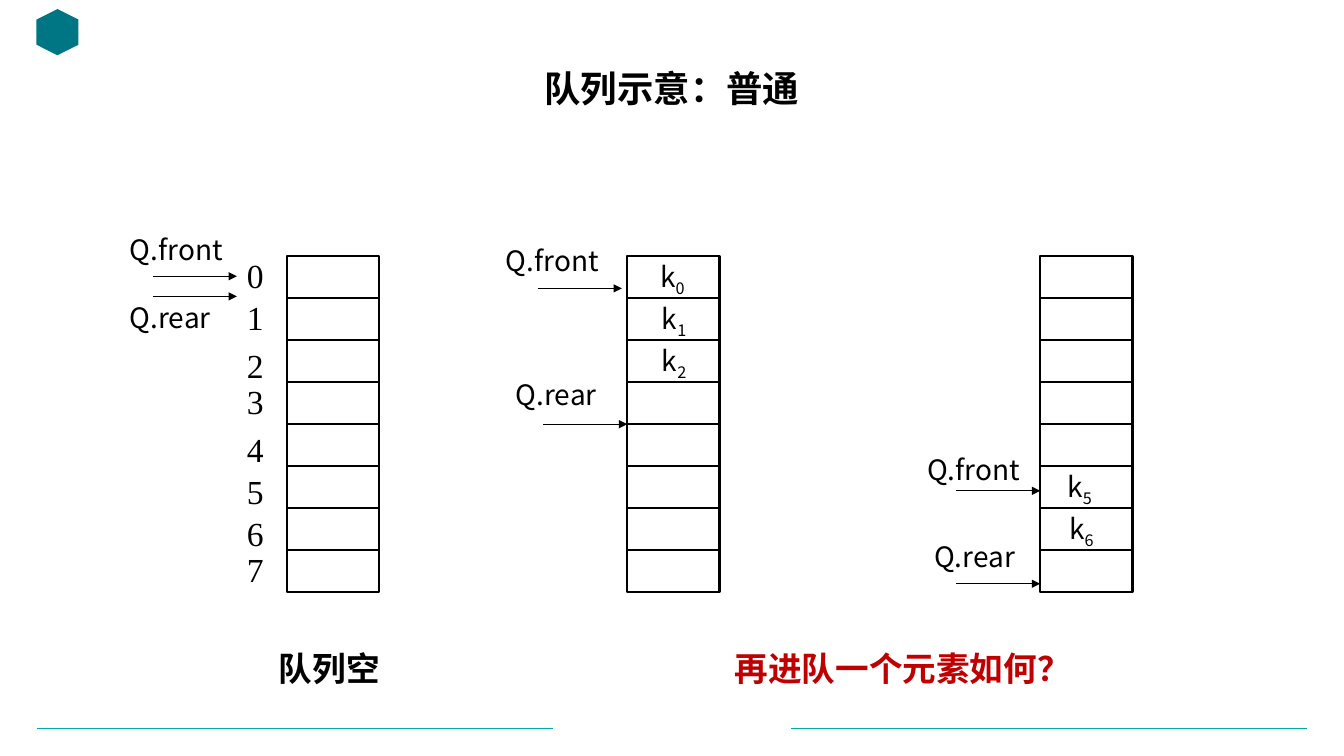
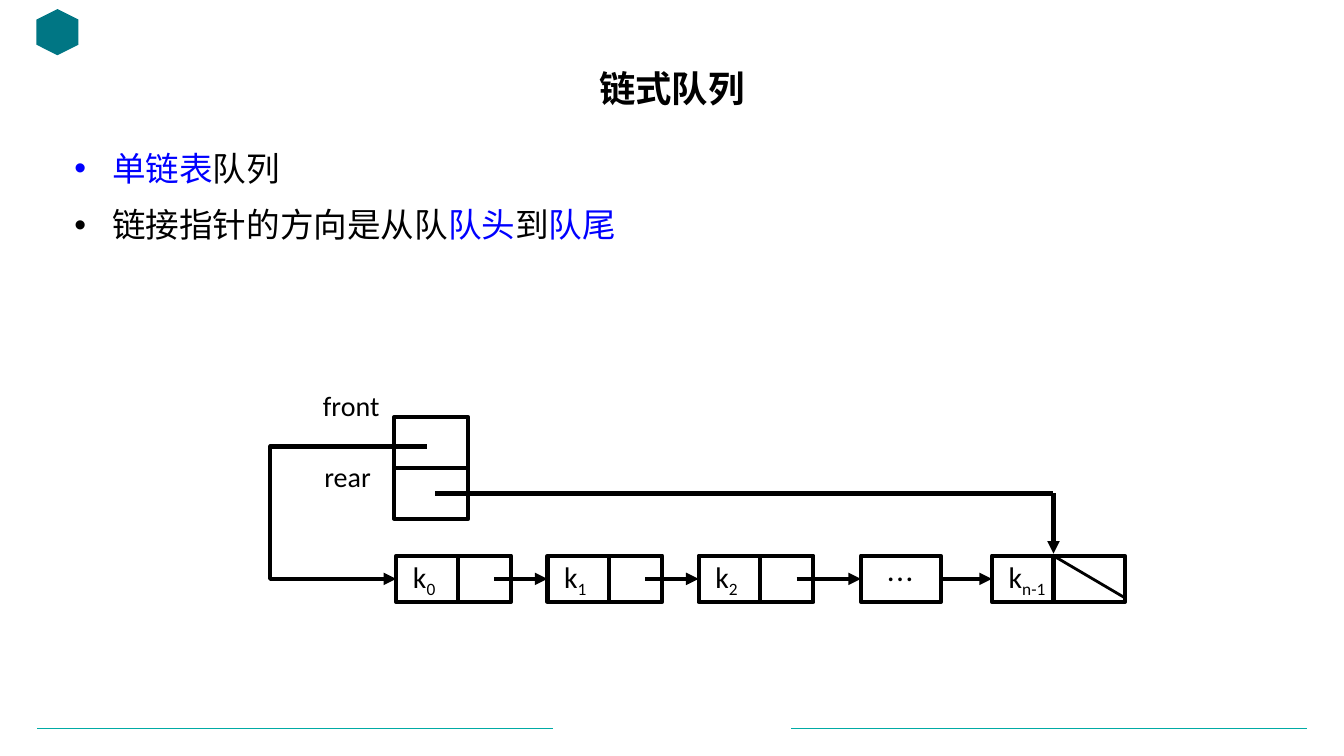
from lxml.etree import SubElement
from pptx import Presentation
from pptx.dml.color import RGBColor
from pptx.enum.shapes import MSO_CONNECTOR, MSO_SHAPE
from pptx.enum.text import MSO_ANCHOR, MSO_AUTO_SIZE, PP_ALIGN
from pptx.oxml.ns import qn
from pptx.util import Pt

COLORS = {"black": "000000", "white": "FFFFFF", "teal": "00ABA5",
          "dark_teal": "007684", "red": "C00000", "blue": "0000FF"}
CJK, LATIN, SERIF = "Noto Sans CJK SC", "Calibri", "Times New Roman"
TITLE = {"name": CJK, "size": Pt(26), "bold": True}
BODY = {"name": CJK, "size": Pt(24)}
CAPTION = {"name": CJK, "size": Pt(24), "bold": True}
LABEL = {"name": CJK, "size": Pt(20)}
INDEX = {"name": SERIF, "size": Pt(24)}
NODE_TEXT = {"name": LATIN, "size": Pt(21.3)}
POINTER_TEXT = {"name": LATIN, "size": Pt(20)}
SUBSCRIPT = {"baseline": "-25000"}
BLUE = {"color": "blue"}
LABEL_HEIGHT = 31.7

# Slide 1: queues stored in arrays
QUEUE_TITLE = "队列示意：普通"
QUEUE_LEFTS = [205, 448, 743]
QUEUE_TOP, QUEUE_WIDTH, ROW_HEIGHT, ROW_COUNT = 183, 66, 30, 8
INDEX_LEFT = 169.2
INDEX_TOPS = [178.5, 208.5, 242.5, 268.5, 302.5, 332.5, 362.5, 388.5]
ELEMENTS = [(464.4, 0), (465.8, 1), (465.8, 2), (755.3, 5), (756.7, 6)]  # left, row
ARROW_LENGTH = 60
LABEL_WIDTHS = {"Q.front": 82, "Q.rear": 72}
# text, label left, label top, arrow tip x, arrow y, queue joined at its middle
QUEUE_POINTERS = [
    ("Q.front", 85.7, 162.7, 169.2, 197.3, None),
    ("Q.rear", 85.7, 211, 169.2, 211.7, None),
    ("Q.front", 354.2, 170.6, 444.2, 206, None),
    ("Q.rear", 361.4, 266.4, 448, 303, 1),
    ("Q.front", 655.2, 319.7, 743, 350.6, None),
    ("Q.rear", 660.2, 381.6, 743, 417, None),
]
# text, left, width, colour
CAPTIONS = [("队列空", 192.2, 87, "black"),
            ("再进队一个元素如何？", 517.7, 306.7, "red")]

# Slide 2: linked queue
LINKED_TITLE = "链式队列"
BULLETS = [
    [("单链表", BLUE), ("队列", {})],
    [("链接指针的方向是从队", {}), ("队头", BLUE), ("到", {}), ("队尾", BLUE)],
]
NODE_TOP, NODE_HEIGHT, DIVIDER_OFFSET, LINK_OFFSET = 397, 33, 44, 70
NODES = [(283, 82, "0"), (391, 82, "1"), (499, 82, "2"),
         (615, 57, None), (708.5, 95, "n-1")]  # left, width, subscript
POINTER_LEFT, POINTER_WIDTH = 281.5, 53
POINTER_CELLS = [(298, 36.5), (334.5, 36)]  # top, height
POINTER_LABELS = [("front", 208, 274.3, 85.7), ("rear", 213.8, 324.7, 69)]
FRONT_START, FRONT_BEND_X = (305, 319), 193
REAR_START = (311, 352.5)


def rgb(color):
    return RGBColor.from_string(COLORS[color])


def add_runs(paragraph, runs, style):
    for text, changes in runs:
        values = {**style, **changes}
        color = values.pop("color", "black")
        baseline = values.pop("baseline", None)
        run = paragraph.add_run()
        run.text = text
        for name, value in values.items():
            setattr(run.font, name, value)
        run.font.color.rgb = rgb(color)
        properties = run._r.get_or_add_rPr()
        SubElement(properties, qn("a:ea"), typeface=values["name"])
        if baseline:
            properties.set("baseline", baseline)


def add_text(slide, box, runs, style, wrap=False, align=PP_ALIGN.LEFT):
    shape = slide.shapes.add_textbox(*map(Pt, box))
    frame = shape.text_frame
    frame.word_wrap = wrap
    frame.auto_size = MSO_AUTO_SIZE.SHAPE_TO_FIT_TEXT
    frame.paragraphs[0].alignment = align
    add_runs(frame.paragraphs[0], runs, style)


def add_box(slide, box, weight=None, fill=None, kind=MSO_SHAPE.RECTANGLE):
    shape = slide.shapes.add_shape(kind, *map(Pt, box))
    shape.shadow.inherit = False
    if fill:
        shape.fill.solid()
        shape.fill.fore_color.rgb = rgb(fill)
    else:
        shape.fill.background()
    if weight:
        shape.line.color.rgb = rgb("black")
        shape.line.width = Pt(weight)
    else:
        shape.line.fill.background()
    return shape


def add_line(slide, start, end, weight, color="black", arrow=False,
             begin_join=None, end_join=None, kind=MSO_CONNECTOR.STRAIGHT):
    """Draw a line; each join is a (shape, connection site) pair."""
    line = slide.shapes.add_connector(kind, *map(Pt, (*start, *end)))
    line.line.color.rgb = rgb(color)
    line.line.width = Pt(weight)
    if arrow:
        SubElement(line.line._get_or_add_ln(), qn("a:tailEnd"), type="triangle")
    SubElement(line._element.spPr, qn("a:effectLst"))
    if begin_join:
        line.begin_connect(*begin_join)
    if end_join:
        line.end_connect(*end_join)
    return line


def add_base_slide(presentation, title_text):
    slide = presentation.slides.add_slide(presentation.slide_layouts[5])
    for left in (26.6, 565.2):
        add_line(slide, (left, 520), (left + 368.5, 520), 0.5, "teal")
    emblem = add_box(slide, (24.5, 8, 33, 30), fill="dark_teal", kind=MSO_SHAPE.HEXAGON)
    emblem.rotation = 90
    title = slide.shapes.title
    title.left, title.top, title.width, title.height = map(Pt, (66, 44.6, 828, 41))
    title.text_frame.vertical_anchor = MSO_ANCHOR.MIDDLE
    paragraph = title.text_frame.paragraphs[0]
    paragraph.alignment = PP_ALIGN.CENTER
    paragraph.line_spacing = 0.9
    add_runs(paragraph, [(title_text, {})], TITLE)
    return slide


def add_queue(slide, left):
    right = left + QUEUE_WIDTH
    frame = add_box(slide, (left, QUEUE_TOP, QUEUE_WIDTH, ROW_HEIGHT * ROW_COUNT), 1.5)
    for row in range(1, ROW_COUNT):
        y = QUEUE_TOP + row * ROW_HEIGHT
        middle = row * 2 == ROW_COUNT
        add_line(slide, (left, y), (right, y), 1.5,
                 begin_join=(frame, 1) if middle else None,
                 end_join=(frame, 3) if middle else None)
    return frame


def build_queue_slide(presentation):
    slide = add_base_slide(presentation, QUEUE_TITLE)
    queues = [add_queue(slide, left) for left in QUEUE_LEFTS]
    for number, top in enumerate(INDEX_TOPS):
        add_text(slide, (INDEX_LEFT, top, 26.6, 36), [(str(number), {})], INDEX)
    for left, row in ELEMENTS:
        add_text(slide, (left, QUEUE_TOP - 1.5 + row * ROW_HEIGHT, 33.8, LABEL_HEIGHT),
                 [("k", {}), (str(row), SUBSCRIPT)], LABEL)
    for text, left, top, tip, y, queue in QUEUE_POINTERS:
        add_text(slide, (left, top, LABEL_WIDTHS[text], LABEL_HEIGHT), [(text, {})], LABEL)
        add_line(slide, (tip - ARROW_LENGTH, y), (tip, y), 0.75, arrow=True,
                 end_join=None if queue is None else (queues[queue], 1))
    for text, left, width, color in CAPTIONS:
        add_text(slide, (left, 459.4, width, 36.7), [(text, {"color": color})], CAPTION,
                 wrap=color == "red")


def add_bullets(slide):
    frame = slide.shapes.add_textbox(*map(Pt, (46, 100.8, 870, 398))).text_frame
    frame.word_wrap = True
    for number, runs in enumerate(BULLETS):
        paragraph = frame.add_paragraph() if number else frame.paragraphs[0]
        paragraph.line_spacing = 1.05
        paragraph.space_before = Pt(10 if number else 0)
        properties = paragraph._p.get_or_add_pPr()
        properties.set("marL", str(Pt(27)))
        properties.set("indent", str(-Pt(27)))
        bullet_color = SubElement(properties, qn("a:buClr"))
        SubElement(bullet_color, qn("a:srgbClr"), val=COLORS[runs[0][1].get("color", "black")])
        SubElement(properties, qn("a:buFont"), typeface="Arial")
        SubElement(properties, qn("a:buChar"), char="•")
        add_runs(paragraph, runs, BODY)


def add_node(slide, left, width, subscript):
    node = add_box(slide, (left, NODE_TOP, width, NODE_HEIGHT), 3,
                   "white" if subscript else None)
    frame = node.text_frame
    frame.word_wrap = True
    frame.vertical_anchor = MSO_ANCHOR.MIDDLE
    paragraph = frame.paragraphs[0]
    if subscript:
        frame.margin_left = Pt(12)
        paragraph.alignment = PP_ALIGN.LEFT
        add_runs(paragraph, [("k", {}), (subscript, SUBSCRIPT)], NODE_TEXT)
        x = left + DIVIDER_OFFSET
        add_line(slide, (x, NODE_TOP), (x, NODE_TOP + NODE_HEIGHT), 3)
    else:
        paragraph.alignment = PP_ALIGN.CENTER
        add_runs(paragraph, [("…", {})], LABEL)
    return node


def build_linked_slide(presentation):
    slide = add_base_slide(presentation, LINKED_TITLE)
    add_bullets(slide)
    for top, height in POINTER_CELLS:
        add_box(slide, (POINTER_LEFT, top, POINTER_WIDTH, height), 3, "white")
    for text, left, top, width in POINTER_LABELS:
        add_text(slide, (left, top, width, LABEL_HEIGHT), [(text, {})], POINTER_TEXT,
                 wrap=True, align=PP_ALIGN.CENTER)
    nodes = [add_node(slide, *node) for node in NODES]

    middle = NODE_TOP + NODE_HEIGHT / 2
    for number, (left, width, subscript) in enumerate(NODES[:-1]):
        start = left + (LINK_OFFSET if subscript else width)
        add_line(slide, (start, middle), (NODES[number + 1][0], middle), 3, arrow=True,
                 begin_join=None if subscript else (nodes[number], 3),
                 end_join=(nodes[number + 1], 1))

    first_left = NODES[0][0]
    front = add_line(slide, FRONT_START, (first_left, middle), 3, arrow=True,
                     kind=MSO_CONNECTOR.ELBOW)
    bend = (FRONT_START[0] - FRONT_BEND_X) / (FRONT_START[0] - first_left)
    guides = front._element.spPr.find(qn("a:prstGeom")).find(qn("a:avLst"))
    SubElement(guides, qn("a:gd"), name="adj1", fmla=f"val {round(bend * 100000)}")

    last_left, last_width, _ = NODES[-1]
    rear_x = last_left + DIVIDER_OFFSET
    corner, target = (rear_x, REAR_START[1]), (rear_x, NODE_TOP - 1.5)
    add_line(slide, REAR_START, corner, 3)
    add_line(slide, corner, target, 3, arrow=True)
    add_line(slide, (rear_x, NODE_TOP), (last_left + last_width, NODE_TOP + 30), 2)


def main():
    presentation = Presentation()
    presentation.slide_width, presentation.slide_height = Pt(960), Pt(540)
    build_queue_slide(presentation)
    build_linked_slide(presentation)
    presentation.save("out.pptx")


if __name__ == "__main__":
    main()
